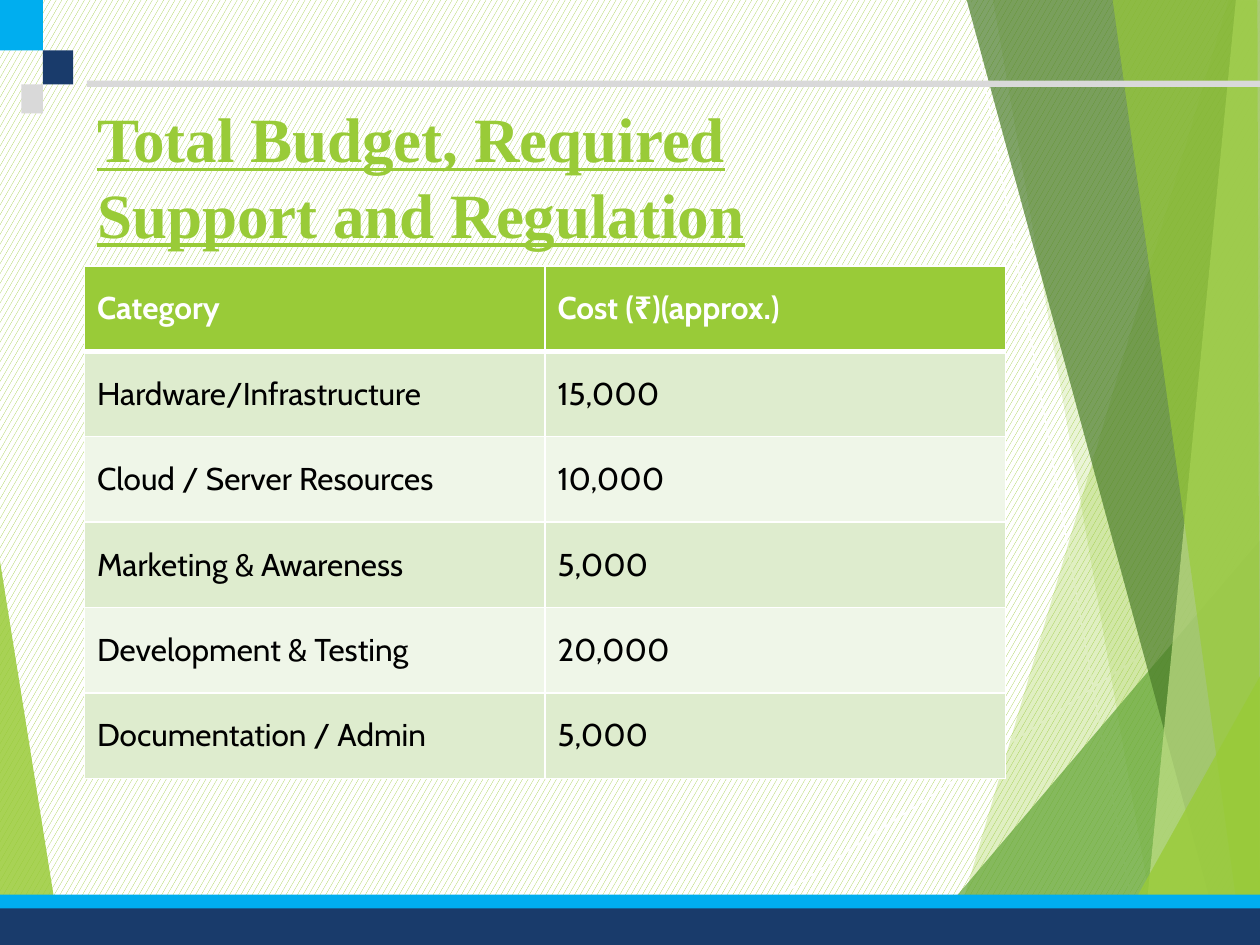
import pptx
import pptx.util
import pptx.dml.color
import pptx.enum.dml
import pptx.enum.shapes
import pptx.enum.text
import pptx.oxml
import pptx.oxml.ns
from lxml import etree

Inches = pptx.util.Inches
Pt = pptx.util.Pt
RGBColor = pptx.dml.color.RGBColor

LIME = RGBColor(0x99, 0xCB, 0x38)
PALE_LIME = RGBColor(0xC2, 0xE0, 0x88)
GREEN = RGBColor(0x63, 0xA5, 0x37)
DARK_GREEN = RGBColor(0x4A, 0x7C, 0x29)
SKY = RGBColor(0x00, 0xAE, 0xEF)
NAVY = RGBColor(0x19, 0x3B, 0x6B)
GREY = RGBColor(0xD9, 0xD9, 0xD9)
WHITE = RGBColor(0xFF, 0xFF, 0xFF)
BLACK = RGBColor(0x00, 0x00, 0x00)
BAND_DARK = RGBColor(0xDE, 0xEC, 0xCE)
BAND_LIGHT = RGBColor(0xEF, 0xF6, 0xE8)

RAYS = [((5.61, 7.5), (10.01, 4.57)), ((7.7, 0), (9.04, 7.5))]

FACETS = [
    ([(-0.01, 4.39), (0.49, 7.51), (-0.01, 7.5)], LIME, 85),
    ([(9.75, 0), (7.54, 7.5), (10.02, 7.51), (10.01, 0.01)], LIME, 30),
    ([(7.88, -0.01), (9.19, 7.5), (10.01, 7.5), (10.01, -0.01)], LIME, 20),
    ([(7.26, 7.5), (10, 4.29), (10.01, 7.5)], GREEN, 72),
    ([(7.67, -0.01), (9.7, 7.5), (10.01, 7.49), (10.01, -0.01)], DARK_GREEN, 70),
    ([(9.81, -0.01), (9.07, 7.5), (10.01, 7.5), (10, -0.01)], PALE_LIME, 70),
    ([(8.83, -0.01), (9.86, 7.5), (10, 7.5), (9.98, -0.01)], LIME, 65),
    ([(8.81, 7.5), (10.01, 5.35), (10.01, 7.49)], LIME, 80),
]

BLOCKS = [
    (0, 0, 0.34, 0.4, SKY),
    (0.34, 0.4, 0.24, 0.27, NAVY),
    (0, 7.1, 10, 0.4, SKY),
    (0.69, 0.64, 9.31, 0.05, GREY),
    (0, 7.21, 10, 0.29, NAVY),
    (0.17, 0.67, 0.17, 0.23, GREY),
]

BUDGET = [
    ("Category", "Cost (₹)(approx.)"),
    ("Hardware/Infrastructure", "15,000"),
    ("Cloud / Server Resources", "10,000"),
    ("Marketing & Awareness", "5,000"),
    ("Development & Testing", "20,000"),
    ("Documentation / Admin", "5,000"),
]


def write_text(text_frame, text, *, font="Cabin", size=18, color=BLACK, bold=False, underline=False):
    text_frame.word_wrap = True
    text_frame.vertical_anchor = pptx.enum.text.MSO_ANCHOR.MIDDLE
    paragraph = text_frame.paragraphs[0]
    paragraph.alignment = pptx.enum.text.PP_ALIGN.LEFT
    run = paragraph.add_run()
    run.text = text
    run.font.name = font
    run.font.size = Pt(size)
    run.font.color.rgb = color
    run.font.bold = bold
    run.font.underline = underline


def paint(shape, color):
    shape.shadow.inherit = False
    shape.fill.solid()
    shape.fill.fore_color.rgb = color
    shape.line.fill.background()


def set_background(slide):
    fill = slide.background.fill
    fill.patterned()
    fill.pattern = pptx.enum.dml.MSO_PATTERN.LARGE_CONFETTI
    fill.fore_color.rgb = LIME
    fill.back_color.rgb = WHITE


def add_ray(slide, start, end):
    points = [Inches(value) for value in start + end]
    connector = slide.shapes.add_connector(pptx.enum.shapes.MSO_CONNECTOR.STRAIGHT, *points)
    connector.line.color.rgb = WHITE
    connector.line.width = Pt(0.75)
    etree.SubElement(connector._element.spPr, pptx.oxml.ns.qn("a:effectLst"))


def add_facet(slide, corners, color, opacity):
    points = [(Inches(x), Inches(y)) for x, y in corners]
    builder = slide.shapes.build_freeform(*points[0])
    builder.add_line_segments(points[1:], close=True)
    shape = builder.convert_to_shape()
    paint(shape, color)
    color_element = shape._element.spPr.find(".//" + pptx.oxml.ns.qn("a:srgbClr"))
    alpha = etree.SubElement(color_element, pptx.oxml.ns.qn("a:alpha"))
    alpha.set("val", str(opacity * 1000))


def add_block(slide, left, top, width, height, color):
    shape = slide.shapes.add_shape(
        pptx.enum.shapes.MSO_SHAPE.RECTANGLE,
        Inches(left), Inches(top), Inches(width), Inches(height),
    )
    paint(shape, color)


def set_borders(cell, widths):
    properties = cell._tc.get_or_add_tcPr()
    for index, (side, width) in enumerate(widths.items()):
        border = pptx.oxml.parse_xml(
            f'<a:ln{side} {pptx.oxml.ns.nsdecls("a")} w="{Pt(width)}">'
            f'<a:solidFill><a:srgbClr val="{WHITE}"/></a:solidFill></a:ln{side}>'
        )
        properties.insert(index, border)


def add_budget_table(slide):
    frame = slide.shapes.add_table(
        len(BUDGET), 2, Inches(0.67), Inches(2.11), Inches(7.31), Inches(4.07)
    )
    for row_index, values in enumerate(BUDGET):
        header = row_index == 0
        band = BAND_DARK if row_index % 2 else BAND_LIGHT
        for column_index, value in enumerate(values):
            cell = frame.table.cell(row_index, column_index)
            cell.vertical_anchor = pptx.enum.text.MSO_ANCHOR.MIDDLE
            cell.fill.solid()
            cell.fill.fore_color.rgb = LIME if header else band
            top = 3 if row_index == 1 else 1
            set_borders(cell, {"L": 1, "R": 1, "T": top, "B": 3 if header else 1})
            write_text(cell.text_frame, value, color=WHITE if header else BLACK, bold=header)


def add_title(slide):
    title = slide.shapes.title
    title.left, title.top = Inches(0.67), Inches(0.67)
    title.width, title.height = Inches(6.94), Inches(1.44)
    write_text(
        title.text_frame, "Total Budget, Required Support and Regulation",
        font="Times New Roman", size=36, color=LIME, bold=True, underline=True,
    )


def main():
    presentation = pptx.Presentation()
    presentation.slide_width = Inches(10)
    presentation.slide_height = Inches(7.5)
    slide = presentation.slides.add_slide(presentation.slide_layouts[5])
    set_background(slide)
    for start, end in RAYS:
        add_ray(slide, start, end)
    for corners, color, opacity in FACETS:
        add_facet(slide, corners, color, opacity)
    for block in BLOCKS:
        add_block(slide, *block)
    add_title(slide)
    add_budget_table(slide)
    presentation.save("out.pptx")


if __name__ == "__main__":
    main()
